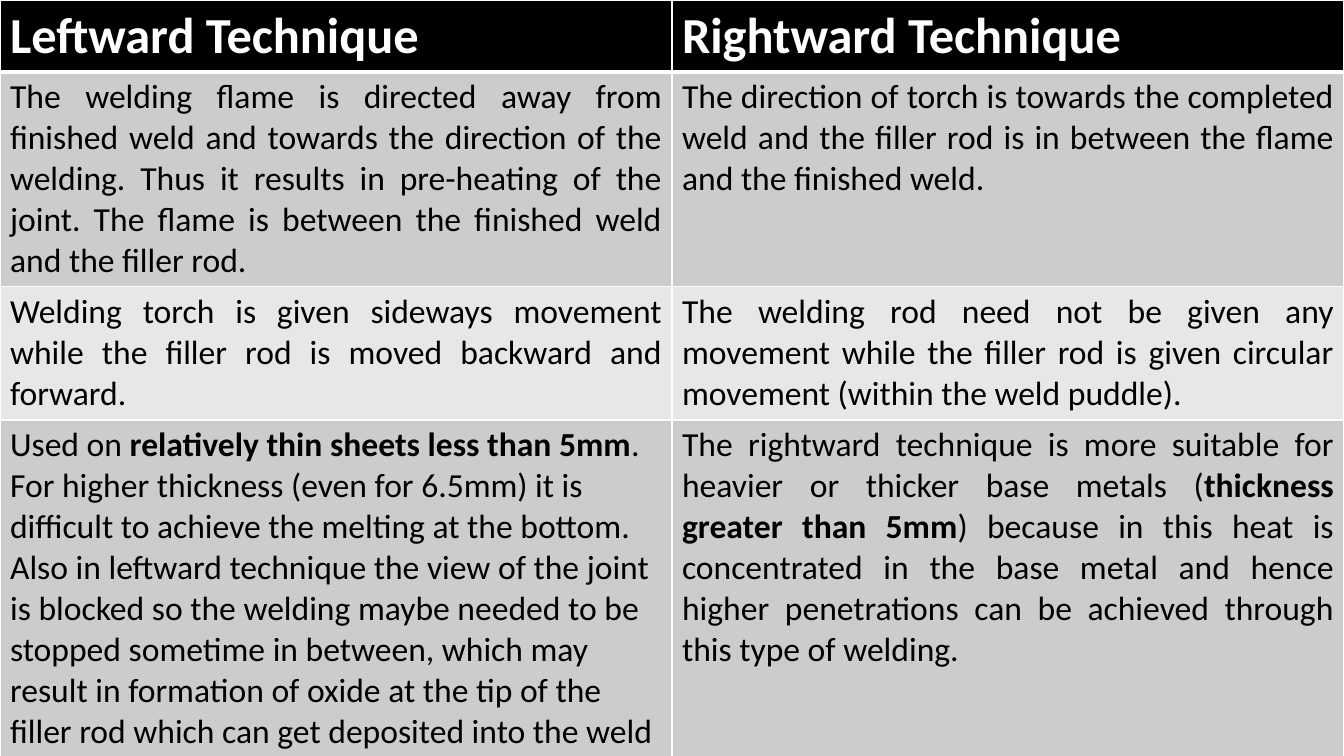
from dataclasses import dataclass

from lxml.etree import SubElement
from pptx import Presentation
from pptx.dml.color import RGBColor
from pptx.enum.text import PP_ALIGN
from pptx.oxml.ns import qn
from pptx.util import Emu, Pt


@dataclass(frozen=True)
class Theme:
    font: str = "Calibri"
    head_size: int = 36
    body_size: int = 24
    head_fill: str = "000000"
    head_text: str = "FFFFFF"
    body_text: str = "000000"
    bands: tuple = ("CCCCCC", "E7E7E7")
    border: str = "FFFFFF"
    thin: int = 1
    thick: int = 3


def px(n):
    return Emu(round(n * 914400 / 100.8))


def write(tf, text, font, size, color, bold=False, align=PP_ALIGN.LEFT):
    """Lines become paragraphs; text between asterisks becomes bold."""
    for i, line in enumerate(text.split("\n")):
        p = tf.add_paragraph() if i else tf.paragraphs[0]
        p.alignment = align
        for j, part in enumerate(line.split("*")):
            r = p.add_run()
            r.text = part
            r.font.name = font
            r.font.size = Pt(size)
            r.font.bold = bold or j % 2 == 1
            r.font.color.rgb = RGBColor.from_string(color)


class Deck:
    def __init__(self, theme, width, height):
        self.theme = theme
        self.prs = Presentation()
        self.prs.slide_width, self.prs.slide_height = px(width), px(height)
        self.slide = self.prs.slides.add_slide(self.prs.slide_layouts[6])

    def border(self, cell, **widths):
        tcPr = cell._tc.get_or_add_tcPr()
        for side in "LRTB":
            ln = SubElement(tcPr, qn(f"a:ln{side}"), w=str(Pt(widths.get(side, self.theme.thin))))
            fill = SubElement(ln, qn("a:solidFill"))
            SubElement(fill, qn("a:srgbClr"), val=self.theme.border)

    def table(self, x, y, col_widths, row_heights, rows, left_cells=()):
        t = self.theme
        table = self.slide.shapes.add_table(
            len(rows), len(col_widths), px(x), px(y),
            px(sum(col_widths)), px(sum(row_heights))).table
        for col, width in zip(table.columns, col_widths):
            col.width = px(width)
        for i, (height, texts) in enumerate(zip(row_heights, rows)):
            table.rows[i].height = px(height)
            for j, text in enumerate(texts):
                cell = table.cell(i, j)
                if i == 0:
                    fill = t.head_fill
                    self.border(cell, B=t.thick)
                    write(cell.text_frame, text, t.font, t.head_size, t.head_text, bold=True)
                else:
                    fill = t.bands[(i - 1) % 2]
                    self.border(cell, T=t.thick if i == 1 else t.thin)
                    align = PP_ALIGN.LEFT if (i, j) in left_cells else PP_ALIGN.JUSTIFY
                    write(cell.text_frame, text, t.font, t.body_size, t.body_text, align=align)
                cell.fill.solid()
                cell.fill.fore_color.rgb = RGBColor.from_string(fill)


ROWS = [
    ("Leftward Technique", "Rightward Technique"),
    ("The welding flame is directed away from finished weld and towards the direction of "
     "the welding. Thus it results in pre-heating of the joint. The flame is between the "
     "finished weld and the filler rod.",
     "The direction of torch is towards the completed weld and the filler rod is in between "
     "the flame and the finished weld."),
    ("Welding torch is given sideways movement while the filler rod is moved backward and "
     "forward.",
     "The welding rod need not be given any movement while the filler rod is given circular "
     "movement (within the weld puddle)."),
    ("Used on *relatively thin sheets less than 5mm*. For higher thickness (even for 6.5mm) "
     "it is difficult to achieve the melting at the bottom.\n"
     "Also in leftward technique the view of the joint is blocked so the welding maybe "
     "needed to be stopped sometime in between, which may result in formation of oxide at "
     "the tip of the filler rod which can get deposited into the weld",
     "The rightward technique is more suitable for heavier or thicker base metals "
     "(*thickness greater than 5mm*) because in this heat is concentrated in the base metal "
     "and hence higher penetrations can be achieved through this type of welding."),
]


def main():
    deck = Deck(Theme(), 1344, 756)
    # Comparison table over the whole slide
    deck.table(0, 0, [672] * 2, [70, 212, 131, 373], ROWS, left_cells={(3, 0)})
    deck.prs.save("out.pptx")


if __name__ == "__main__":
    main()
